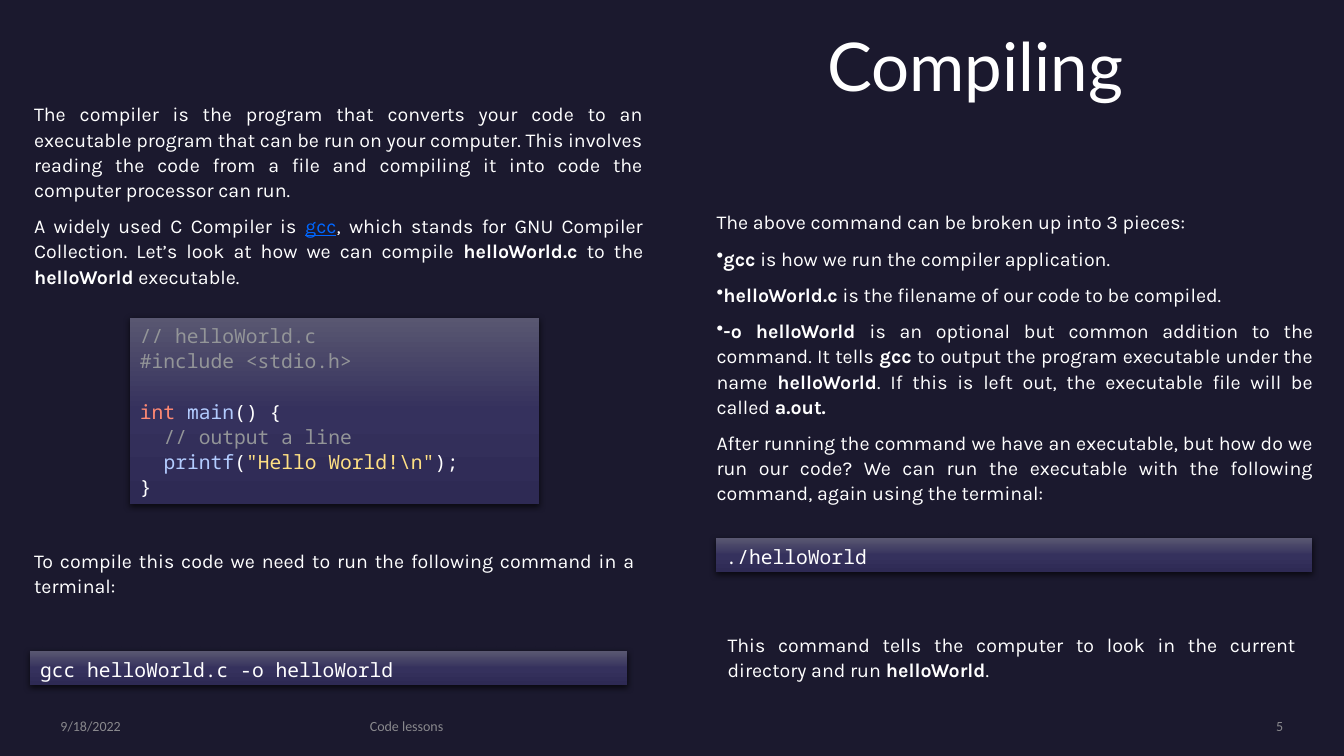
from copy import deepcopy

from lxml import etree
from pptx import Presentation
from pptx.dml.color import RGBColor
from pptx.enum import shapes, text
from pptx.oxml import ns
from pptx.util import Pt

NIGHT = RGBColor(0x1B, 0x19, 0x2E)
WHITE = RGBColor(0xFF, 0xFF, 0xFF)
LINK = RGBColor(0x00, 0x66, 0xFF)
FOOTER_GREY = RGBColor(0xA6, 0xA6, 0xA6)
COMMENT = RGBColor(0x93, 0x95, 0x98)
KEYWORD = RGBColor(0xFF, 0x89, 0x73)
FUNCTION = RGBColor(0xB3, 0xCC, 0xFF)
STRING = RGBColor(0xFF, 0xE0, 0x83)
PANEL_STOPS = [
    (0, RGBColor(0x59, 0x57, 0x71)),
    (0.5, RGBColor(0x35, 0x31, 0x5D)),
    (1, RGBColor(0x2E, 0x2A, 0x54)),
]
BODY_FONT, CODE_FONT = "Karla", "Noto Sans Mono"
BODY_SIZE = 14
LEFT, JUSTIFY, RIGHT = (
    text.PP_ALIGN.LEFT, text.PP_ALIGN.JUSTIFY, text.PP_ALIGN.RIGHT)

INTRO = [
    ["The compiler is the program that converts your code to an executable "
     "program that can be run on your computer. This involves reading the "
     "code from a file and compiling it into code the computer processor "
     "can run."],
    ["A widely used C Compiler is ", ("gcc", "link"),
     ", which stands for GNU Compiler Collection. Let’s look at how we can "
     "compile ", ("helloWorld.c", "bold"), " to the ",
     ("helloWorld", "bold"), " executable."],
]
SOURCE_CODE = [
    ("// helloWorld.c\n#include <stdio.h>\n \n", COMMENT),
    ("int ", KEYWORD), ("main", FUNCTION), ("() {\n  ", WHITE),
    ("// output a line\n  ", COMMENT), ("printf", FUNCTION), ("(", WHITE),
    ('"Hello World!\\n"', STRING), (");\n}", WHITE),
]
COMPILE_NOTE = [["To compile this code we need to run the following command "
                 "in a terminal:"]]
PIECES = [
    ["The above command can be broken up into 3 pieces:"],
    [("gcc", "bold"), " is how we run the compiler application."],
    [("helloWorld.c ", "bold"), "is the filename of our code to be compiled."],
    [("-o helloWorld ", "bold"),
     "is an optional but common addition to the command. It tells ",
     ("gcc", "bold"), " to output the program executable under the name ",
     ("helloWorld", "bold"),
     ". If this is left out, the executable file will be called ",
     ("a.out.", "bold")],
    ["After running the command we have an executable, but how do we run our "
     "code? We can run the executable with the following command, again "
     "using the terminal:"],
]
RUN_NOTE = [["This command tells the computer to look in the current "
             "directory and run ", ("helloWorld", "bold"), "."]]


def add_span(para, words, font, size, colour):
    span = para.add_run()
    span.text = words
    span.font.name = font
    span.font.size = Pt(size)
    span.font.color.rgb = colour
    return span


def space_para(para, align):
    para.alignment = align
    para.line_spacing = 1.07
    para.space_after = Pt(8)


def add_bullet(para):
    properties = para._p.get_or_add_pPr()
    properties.set("marL", "0")
    properties.set("indent", str(-Pt(27)))
    etree.SubElement(properties, ns.qn("a:buChar"), char="•")


def add_prose(page, left, top, width, height, paragraphs, bulleted=()):
    box = page.shapes.add_textbox(Pt(left), Pt(top), Pt(width), Pt(height))
    frame = box.text_frame
    frame.word_wrap = True
    frame.auto_size = text.MSO_AUTO_SIZE.SHAPE_TO_FIT_TEXT
    for index, pieces in enumerate(paragraphs):
        para = frame.add_paragraph() if index else frame.paragraphs[0]
        space_para(para, JUSTIFY)
        if index in bulleted:
            add_bullet(para)
        for piece in pieces:
            words, style = (piece, "") if isinstance(piece, str) else piece
            colour = LINK if style == "link" else WHITE
            span = add_span(para, words, BODY_FONT, BODY_SIZE, colour)
            span.font.bold = style == "bold"
            span.font.underline = style == "link"


def style_panel(panel):
    panel.line.fill.background()
    panel.fill.gradient()
    panel.fill.gradient_angle = 270
    properties = panel._element.spPr
    stop_list = properties.find(".//" + ns.qn("a:gsLst"))
    stop_list.append(deepcopy(stop_list[0]))
    for stop, (position, colour) in zip(panel.fill.gradient_stops, PANEL_STOPS):
        stop.position = position
        stop.color.rgb = colour
    panel.shadow.inherit = False
    shadow = etree.SubElement(
        properties.find(ns.qn("a:effectLst")), ns.qn("a:outerShdw"),
        blurRad=str(Pt(4.5)), dist=str(Pt(1.5)), dir="5400000",
        algn="ctr", rotWithShape="0")
    black = etree.SubElement(shadow, ns.qn("a:srgbClr"), val="000000")
    etree.SubElement(black, ns.qn("a:alpha"), val="63000")


def add_code(page, left, top, width, height, pieces):
    panel = page.shapes.add_shape(
        shapes.MSO_SHAPE.RECTANGLE, Pt(left), Pt(top), Pt(width), Pt(height))
    style_panel(panel)
    frame = panel.text_frame
    frame.word_wrap = True
    frame.auto_size = text.MSO_AUTO_SIZE.SHAPE_TO_FIT_TEXT
    frame.vertical_anchor = text.MSO_ANCHOR.TOP
    para = frame.paragraphs[0]
    space_para(para, LEFT)
    for words, colour in pieces:
        for index, line in enumerate(words.split("\n")):
            if index:
                para.add_line_break()
            if line:
                add_span(para, line, CODE_FONT, BODY_SIZE, colour)
    for line_break in para._p.findall(ns.qn("a:br")):
        mark = etree.SubElement(
            line_break, ns.qn("a:rPr"), sz=str(BODY_SIZE * 100))
        etree.SubElement(mark, ns.qn("a:latin"), typeface=CODE_FONT)


def add_label(page, left, top, width, height, words, font, size, colour,
              align=LEFT, anchor=text.MSO_ANCHOR.MIDDLE):
    box = page.shapes.add_textbox(Pt(left), Pt(top), Pt(width), Pt(height))
    frame = box.text_frame
    frame.word_wrap = True
    frame.vertical_anchor = anchor
    frame.margin_left = frame.margin_right = 0
    frame.margin_top = frame.margin_bottom = 0
    para = frame.paragraphs[0]
    para.alignment = align
    return para, add_span(para, words, font, size, colour)


def add_title(page, left, top, width, height):
    para, _ = add_label(page, left, top, width, height, "Compiling", "Lato",
                        48, WHITE, anchor=text.MSO_ANCHOR.TOP)
    para.line_spacing = 0.9


def add_compile_column(page, left, top, width):
    add_prose(page, left, top, width, 167.8, INTRO)
    add_code(page, left + 75.6, top + 158.4, 292.3, 133.2, SOURCE_CODE)
    add_prose(page, left, top + 319, width - 5.8, 42.5, COMPILE_NOTE)
    add_code(page, left + 4.3, top + 396.7, 426.2, 24.5,
             [("gcc helloWorld.c -o helloWorld", WHITE)])


def add_run_column(page, left, top, width):
    add_prose(page, left, top, width, 219.6, PIECES, bulleted=(1, 2, 3))
    add_code(page, left + 6.5, top + 239, 426.2, 24.5,
             [("./helloWorld", WHITE)])
    add_prose(page, left + 7.9, top + 301.7, width - 20.2, 42.5, RUN_NOTE)


def add_footer(page, left, top, height):
    labels = [
        (0, 207.4, "9/18/2022", LEFT),
        (221, 502.6, "Code lessons", LEFT),
        (740.2, 133.2, "5", RIGHT),
    ]
    for offset, width, words, align in labels:
        _, span = add_label(page, left + offset, top, width, height, words,
                            "Calibri", 10, FOOTER_GREY, align)
        colour = span._r.find(".//" + ns.qn("a:srgbClr"))
        etree.SubElement(colour, ns.qn("a:alpha"), val="80000")


def main():
    deck = Presentation()
    deck.slide_width, deck.slide_height = Pt(960), Pt(540)
    page = deck.slides.add_slide(deck.slide_layouts[6])
    page.background.fill.solid()
    page.background.fill.fore_color.rgb = NIGHT
    add_title(page, 591, 23.8, 354.2, 65.5)
    add_compile_column(page, 17.3, 68.4, 449.3)
    add_run_column(page, 504.7, 145.4, 440.6)
    add_footer(page, 43.2, 512.6, 12)
    deck.save("out.pptx")


if __name__ == "__main__":
    main()
